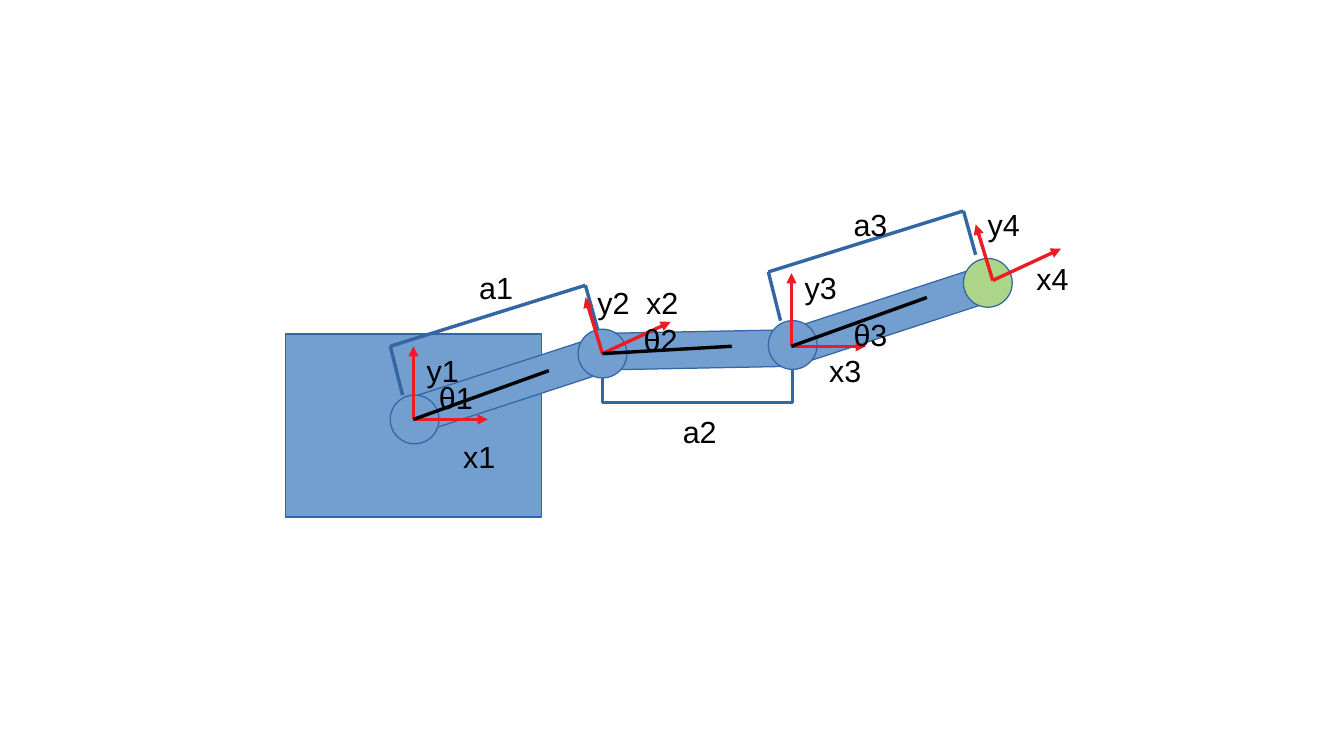
from dataclasses import dataclass
from lxml.etree import SubElement
from pptx import Presentation
from pptx.dml.color import RGBColor
from pptx.enum.shapes import MSO_CONNECTOR as Connector, MSO_SHAPE as Shape
from pptx.enum.text import MSO_AUTO_SIZE as AutoSize, MSO_VERTICAL_ANCHOR as Anchor
from pptx.oxml.ns import qn
from pptx.util import Inches, Pt


@dataclass(frozen=True)
class Theme:
    body: str = "729FCF"
    outline: str = "3465A4"
    gripper: str = "ADD58A"
    axis: str = "ED1C24"
    text: str = "000000"
    font: str = "Arial"
    size: int = 18
    hairline: int = 0


def set_values(target, values):
    for name, value in values.items():
        setattr(target, name, value)


class Diagram:
    def __init__(self, slide, theme):
        self.slide = slide
        self.theme = theme

    def style_line(self, line, color):
        line.color.rgb = RGBColor.from_string(color)
        line.width = Pt(self.theme.hairline)

    def shape(self, kind, left, top, width, height, fill, rotation=0):
        box = map(Inches, (left, top, width, height))
        shape = self.slide.shapes.add_shape(kind, *box)
        shape.shadow.inherit = False
        shape.rotation = rotation
        shape.fill.solid()
        shape.fill.fore_color.rgb = RGBColor.from_string(fill)
        self.style_line(shape.line, self.theme.outline)

    def line(self, start, end, color, arrow=False, kind=Connector.STRAIGHT):
        points = map(Inches, (*start, *end))
        connector = self.slide.shapes.add_connector(kind, *points)
        self.style_line(connector.line, color)
        properties = connector._element.spPr
        if arrow:
            SubElement(properties.find(qn("a:ln")), qn("a:tailEnd"), type="triangle")
        SubElement(properties, qn("a:effectLst"))
        return connector

    def bracket(self, start, end, depth):
        """Elbow connector that drops by depth below its start."""
        span, rise = end[0] - start[0], start[1] - end[1]
        middle_x, middle_y = (start[0] + end[0]) / 2, (start[1] + end[1]) / 2
        connector = self.line((middle_x + rise / 2, middle_y + span / 2),
                              (middle_x - rise / 2, middle_y - span / 2),
                              self.theme.outline, kind=Connector.ELBOW)
        properties = connector._element.spPr
        properties.find(qn("a:xfrm")).set("rot", "5400000")
        adjustments = properties.find(qn("a:prstGeom")).find(qn("a:avLst"))
        bend = round(-depth / rise * 100000)
        SubElement(adjustments, qn("a:gd"), name="adj1", fmla=f"val {bend}")

    def label(self, text, left, top, width, height, wrap=True):
        box = map(Inches, (left, top, width, height))
        frame = self.slide.shapes.add_textbox(*box).text_frame
        set_values(frame, {
            "word_wrap": wrap,
            "auto_size": AutoSize.SHAPE_TO_FIT_TEXT,
            "vertical_anchor": Anchor.TOP,
        })
        run = frame.paragraphs[0].add_run()
        run.text = text
        set_values(run.font, {"name": self.theme.font, "size": Pt(self.theme.size)})
        run.font.color.rgb = RGBColor.from_string(self.theme.text)


def draw_arm(diagram):
    theme = diagram.theme

    # Base and links
    diagram.shape(Shape.RECTANGLE, 2.34, 2.74, 2.1, 1.5, theme.body)
    for left, top, rotation in ((3.39, 3, 341.9), (4.9, 2.72, 358.9), (6.49, 2.44, 341.9)):
        diagram.shape(Shape.RECTANGLE, left, top, 1.6, 0.3, theme.body, rotation)

    # Gripper and joints
    for left, top, fill in ((7.9, 2.12, theme.gripper), (3.2, 3.24, theme.body),
                            (4.74, 2.7, theme.body), (6.3, 2.63, theme.body)):
        diagram.shape(Shape.OVAL, left, top, 0.4, 0.4, fill)

    # Link length dimensions
    diagram.bracket((4.94, 3.1), (6.5, 3.03), 0.2)
    for x, y in ((3.2, 2.84), (6.3, 2.23)):
        far_corner = (x + 1.6, y - 0.5)
        diagram.line((x, y), far_corner, theme.outline)
        diagram.line((x, y), (x + 0.1, y + 0.4), theme.outline)
        diagram.line((x + 1.7, y - 0.14), far_corner, theme.outline)
    for text, left, top in (("a1", 3.83, 2.16), ("a2", 5.5, 3.34), ("a3", 6.9, 1.64)):
        diagram.label(text, left, top, 0.48, 0.38, wrap=False)

    # Coordinate frames: origin, then the offsets of the x and y tips
    level = ((0.61, 0), (0, -0.6))
    tilted = ((0.56, -0.26), (-0.14, -0.46))
    frames = (((3.39, 3.44), level), ((4.94, 2.9), tilted),
              ((8.14, 2.3), tilted), ((6.49, 2.84), level))
    for (x, y), tips in frames:
        for across, down in tips:
            diagram.line((x, y), (x + across, y + down), theme.axis, arrow=True)

    # Axis names
    for text, left, top in (("x2", 5.2, 2.28), ("x4", 8.4, 2.08),
                            ("x3", 6.7, 2.84), ("x1", 3.7, 3.54)):
        diagram.label(text, left, top, 0.7, 0.66)
    for text, left, top in (("y1", 3.4, 2.84), ("y2", 4.8, 2.28),
                            ("y3", 6.5, 2.16), ("y4", 8, 1.64)):
        diagram.label(text, left, top, 0.6, 0.38)

    # Link directions and joint angles
    for start, end in (((3.39, 3.44), (4.5, 3.04)), ((6.49, 2.84), (7.6, 2.44)),
                       ((4.94, 2.9), (6, 2.84))):
        diagram.line(start, end, theme.text)
    for text, left, top, width in (("θ1", 3.5, 3.06, 0.7), ("θ2", 5.18, 2.58, 0.92),
                                   ("θ3", 6.9, 2.54, 0.92)):
        diagram.label(text, left, top, width, 0.66)


def main():
    presentation = Presentation()
    set_values(presentation, {"slide_width": Inches(11.02), "slide_height": Inches(6.2)})
    blank_layout = presentation.slide_layouts[6]
    slide = presentation.slides.add_slide(blank_layout)
    draw_arm(Diagram(slide, Theme()))
    presentation.save("out.pptx")


if __name__ == "__main__":
    main()
